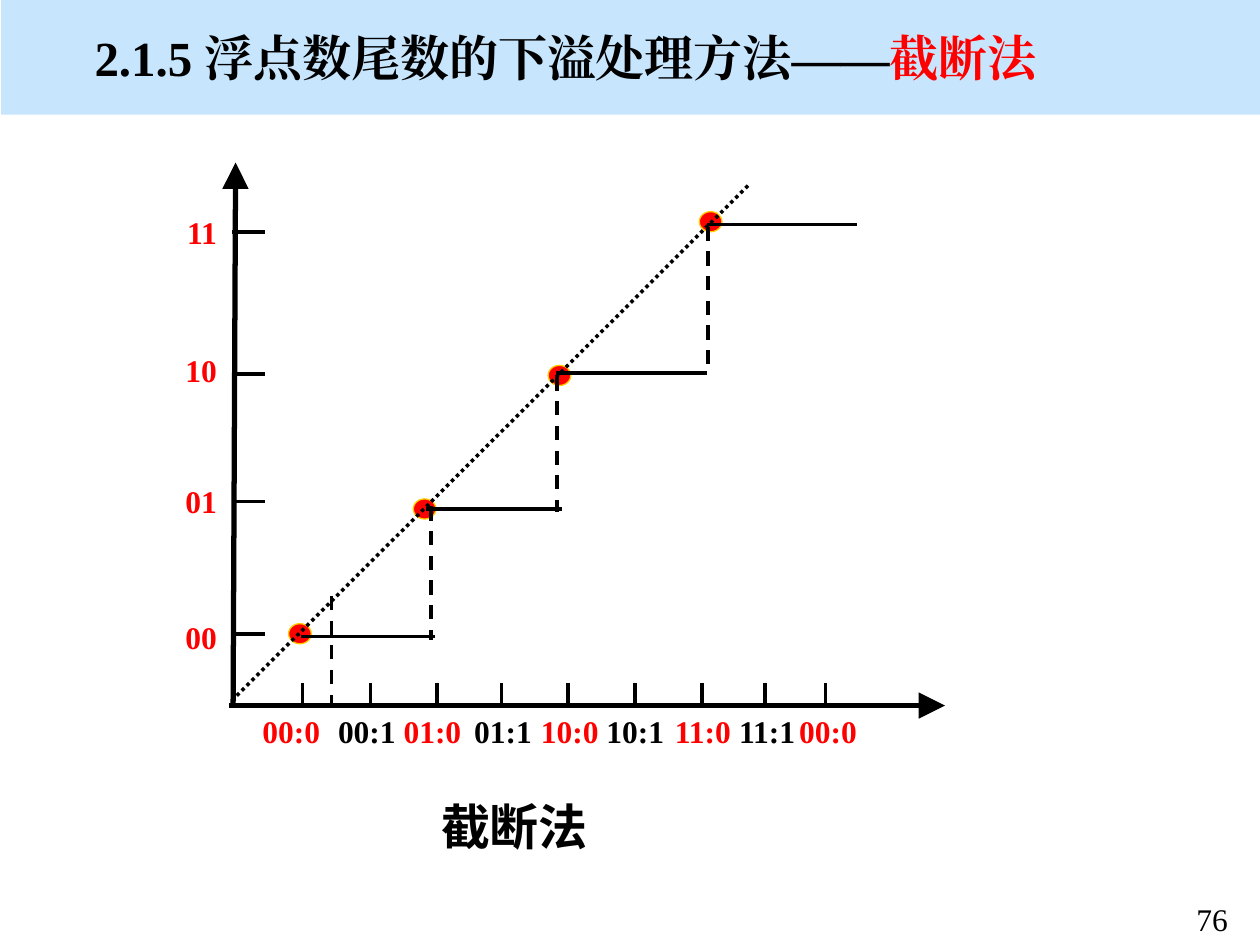
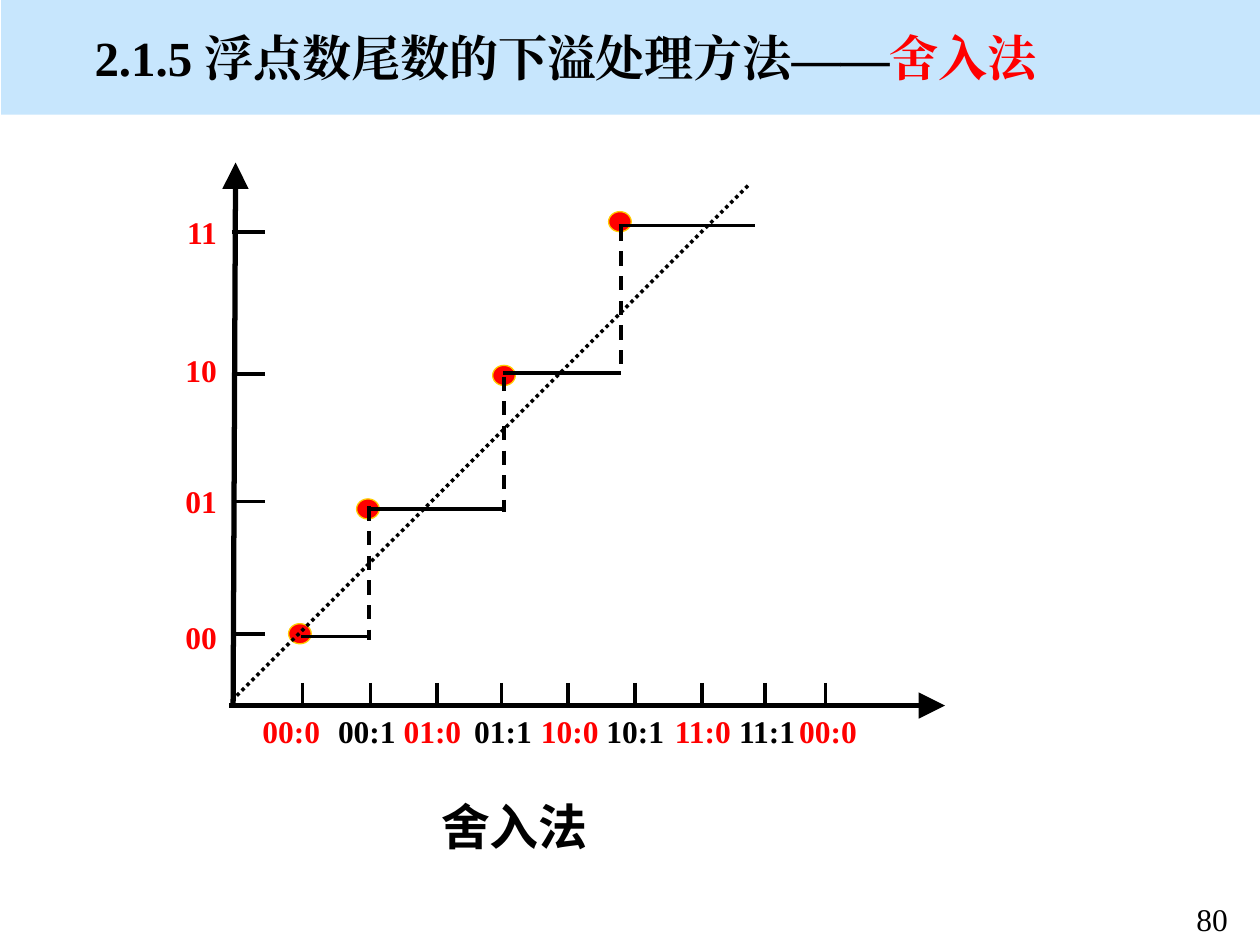
import dataclasses
import typing

import lxml.etree
import pptx
import pptx.dml.color
import pptx.enum.dml
import pptx.enum.shapes
import pptx.enum.text
import pptx.oxml.ns
import pptx.util

# Scale: 100 px to the inch
EMU_PER_PX = 9144

# Shared style
BLACK = pptx.dml.color.RGBColor(0x00, 0x00, 0x00)
RED = pptx.dml.color.RGBColor(0xFF, 0x00, 0x00)
GOLD = pptx.dml.color.RGBColor(0xFF, 0xCC, 0x00)
BAND_BLUE = pptx.dml.color.RGBColor(0xC7, 0xE6, 0xFD)
SERIF = "Times New Roman"
SANS = "Noto Sans CJK SC"
TITLE_STEM = "2.1.5 浮点数尾数的下溢处理方法——"

Align = pptx.enum.text.PP_ALIGN
Anchor = pptx.enum.text.MSO_ANCHOR
AutoSize = pptx.enum.text.MSO_AUTO_SIZE
Dash = pptx.enum.dml.MSO_LINE
Preset = pptx.enum.shapes.MSO_SHAPE


class Tick(typing.NamedTuple):
    label: str
    place: int
    label_start: int


class Span(typing.NamedTuple):
    start: int
    end: int


@dataclasses.dataclass(frozen=True)
class Method:
    name: str
    number: int
    dot_lefts: tuple[int, ...]
    treads: tuple[Span, ...]
    riser_places: tuple[int, ...]
    top_level: int
    origin_drop: int | None = None


# Axes shared by both diagrams
AXIS_Y = 560
COLUMN_TICKS = (
    Tick("00:0", 240, 198), Tick("00:1", 294, 258), Tick("01:0", 347, 310),
    Tick("01:1", 398, 366), Tick("10:0", 451, 419), Tick("10:1", 504, 471),
    Tick("11:0", 557, 524), Tick("11:1", 607, 575), Tick("00:0", 655, 624),
)
ROW_TICKS = (
    Tick("00", 503, 486), Tick("01", 398, 378),
    Tick("10", 297, 274), Tick("11", 184, 164),
)
DOT_TOPS = (495, 396, 290, 168)
TREAD_LEVELS = (505, 404, 296)
RISERS = (Span(402, 508), Span(299, 406), Span(180, 297))

METHODS = (
    Method(
        "截断法", 76,
        dot_lefts=(229, 328, 435, 555),
        treads=(Span(239, 345), Span(338, 446), Span(441, 561), Span(561, 680)),
        riser_places=(342, 442, 562),
        top_level=178,
        origin_drop=263,
    ),
    Method(
        "舍入法", 80,
        dot_lefts=(229, 283, 391, 483),
        treads=(Span(239, 292), Span(291, 399), Span(399, 493), Span(491, 599)),
        riser_places=(293, 400, 493),
        top_level=179,
    ),
)


def px(length: int) -> int:
    return length * EMU_PER_PX


def add_child(parent, tag: str, **attributes: str):
    return lxml.etree.SubElement(parent, pptx.oxml.ns.qn(tag), **attributes)


def write(para, text: str, *, size: int, font: str = SERIF, bold: bool = True,
          color=BLACK) -> None:
    span = para.add_run()
    span.text = text
    span.font.size = pptx.util.Pt(size)
    span.font.name = font
    span.font.bold = bold
    span.font.color.rgb = color
    add_child(span.font._element, "a:ea", typeface=font)


def place(box, left: int, top: int, width: int, height: int) -> None:
    box.left, box.top = px(left), px(top)
    box.width, box.height = px(width), px(height)


def add_label(shapes, text: str, left: int, top: int, width: int, height: int, *,
              align=Align.RIGHT, fit: bool = True, **style) -> None:
    box = shapes.add_textbox(px(left), px(top), px(width), px(height))
    frame = box.text_frame
    frame.word_wrap = not fit
    frame.auto_size = AutoSize.SHAPE_TO_FIT_TEXT if fit else AutoSize.NONE
    para = frame.paragraphs[0]
    para.alignment = align
    write(para, text, size=18, **style)


def add_line(shapes, start: tuple[int, int], end: tuple[int, int], *,
             weight: int = 2, dash=None, arrow: bool = False) -> None:
    line = shapes.add_connector(
        pptx.enum.shapes.MSO_CONNECTOR.STRAIGHT,
        px(start[0]), px(start[1]), px(end[0]), px(end[1]),
    )
    line.line.color.rgb = BLACK
    line.line.width = pptx.util.Pt(weight)
    if dash is not None:
        line.line.dash_style = dash
    properties = line._element.spPr
    if arrow:
        outline = properties.find(pptx.oxml.ns.qn("a:ln"))
        add_child(outline, "a:tailEnd", type="triangle", w="lg", len="lg")
    add_child(properties, "a:effectLst")


def add_solid(shapes, preset, left: int, top: int, width: int, height: int, *,
              fill, outline=None):
    solid = shapes.add_shape(preset, px(left), px(top), px(width), px(height))
    solid.shadow.inherit = False
    solid.fill.solid()
    solid.fill.fore_color.rgb = fill
    if outline is None:
        solid.line.fill.background()
    else:
        solid.line.color.rgb = outline
        solid.line.width = pptx.util.Pt(0.75)
    return solid


def put_band_on_layout(page) -> None:
    band = add_solid(page.shapes, Preset.RECTANGLE, 1, 0, 999, 91, fill=BAND_BLUE)
    page.slide_layout.shapes._spTree.insert(2, band._element)


def fill_title(page, name: str) -> None:
    title = page.shapes.title
    place(title, 65, 16, 916, 67)
    frame = title.text_frame
    frame.auto_size = AutoSize.NONE
    frame.vertical_anchor = Anchor.MIDDLE
    para = frame.paragraphs[0]
    para.alignment = Align.LEFT
    para.line_spacing = 0.8
    write(para, TITLE_STEM, size=28)
    write(para, name, size=28, color=RED)


def fill_caption(page, name: str) -> None:
    body = page.placeholders[1]
    place(body, 340, 627, 144, 71)
    frame = body.text_frame
    frame.auto_size = AutoSize.NONE
    para = frame.paragraphs[0]
    properties = para._p.get_or_add_pPr()
    properties.set("marL", str(px(38)))
    properties.set("indent", str(px(-38)))
    add_child(properties, "a:buNone")
    para.space_before = pptx.util.Pt(0)
    write(para, name, size=28, font=SANS)


def draw_axes(page) -> None:
    axes = page.shapes.add_group_shape().shapes
    add_line(axes, (182, AXIS_Y), (750, AXIS_Y), weight=3, arrow=True)
    add_line(axes, (185, AXIS_Y), (187, 129), weight=3, arrow=True)
    for index, tick in enumerate(COLUMN_TICKS):
        add_line(axes, (tick.place, 542), (tick.place, 561))
        add_label(axes, tick.label, tick.label_start, AXIS_Y, 66, 40,
                  color=BLACK if index % 2 else RED)
    for tick in ROW_TICKS:
        add_line(axes, (184, tick.place), (210, tick.place))
        add_label(axes, tick.label, 137, tick.label_start, 45, 40, color=RED)


def draw_steps(page, method: Method) -> None:
    shapes = page.shapes
    for left, top in zip(method.dot_lefts, DOT_TOPS):
        add_solid(shapes, Preset.FLOWCHART_CONNECTOR, left, top, 18, 16,
                  fill=RED, outline=GOLD)
    # Ideal diagonal, then the stair
    add_line(shapes, (184, 556), (594, 147), dash=Dash.ROUND_DOT)
    for tread, level in zip(method.treads, (*TREAD_LEVELS, method.top_level)):
        add_line(shapes, (tread.start, level), (tread.end, level))
    drops = list(zip(method.riser_places, RISERS))
    if method.origin_drop is not None:
        drops.append((method.origin_drop, Span(473, AXIS_Y)))
    for across, drop in drops:
        add_line(shapes, (across, drop.start), (across, drop.end), dash=Dash.DASH)


def main() -> None:
    deck = pptx.Presentation()
    deck.slide_width, deck.slide_height = px(1000), px(750)
    layout = deck.slide_layouts[1]
    for index, method in enumerate(METHODS):
        page = deck.slides.add_slide(layout)
        if index == 0:
            put_band_on_layout(page)
        fill_title(page, method.name)
        fill_caption(page, method.name)
        draw_axes(page)
        draw_steps(page, method)
        add_label(page.shapes, str(method.number), 927, 709, 70, 33,
                  align=Align.CENTER, fit=False, bold=False)
    deck.save("out.pptx")


if __name__ == "__main__":
    main()
